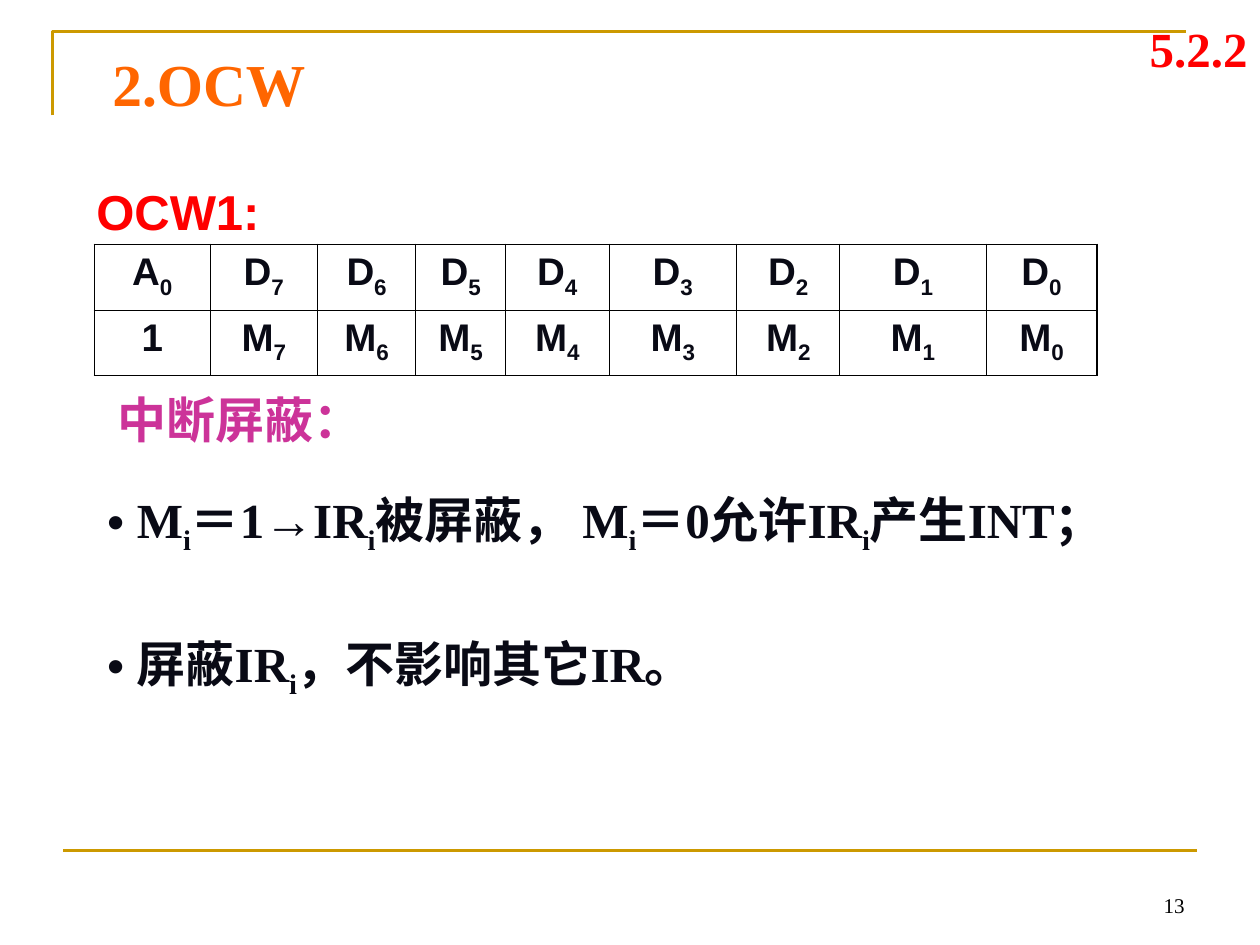
"""Build the slide on the OCW1 interrupt mask word."""
from dataclasses import dataclass

from lxml import etree
from pptx import Presentation
from pptx import util as u
from pptx.dml.color import RGBColor
from pptx.enum import shapes, text
from pptx.oxml import ns

Pt = u.Pt


@dataclass(frozen=True)
class Theme:
    gold: str = "CC9900"
    orange: str = "FF6600"
    red: str = "FF0000"
    magenta: str = "CC3399"
    ink: str = "090A15"
    black: str = "000000"
    serif: str = "Times New Roman"
    sans: str = "Arial"
    accent: str = "Karla"
    title_size: float = 34
    body_size: float = 28
    cell_size: float = 22
    number_size: float = 12
    rule: float = 1.5
    outer_border: float = 1.08
    inner_border: float = 0.45


@dataclass(frozen=True)
class Box:
    left: float
    top: float
    width: float
    height: float


@dataclass(frozen=True)
class Style:
    font: str
    size: float
    color: str
    bold: bool = True


@dataclass(frozen=True)
class Label:
    wording: str
    box: Box
    style: Style
    align: text.PP_ALIGN = text.PP_ALIGN.LEFT
    anchor: text.MSO_ANCHOR = text.MSO_ANCHOR.TOP


THEME = Theme()
TITLE = Label("2.OCW", Box(57, 23, 612, 57), Style(THEME.serif, THEME.title_size, THEME.orange))
LABELS = (
    Label("中断屏蔽：", Box(60, 219, 181, 41), Style(THEME.accent, THEME.body_size, THEME.magenta)),
    Label("5.2.2", Box(642, 7.2, 78, 41), Style(THEME.serif, THEME.body_size, THEME.red),
          text.PP_ALIGN.RIGHT),
    Label("OCW1:", Box(48, 100, 148, 41), Style(THEME.sans, THEME.body_size, THEME.red)),
    Label("13", Box(516, 492, 168, 36), Style(THEME.serif, THEME.number_size, THEME.black, False),
          text.PP_ALIGN.RIGHT, text.MSO_ANCHOR.BOTTOM),
)
BODY_BOX = Box(54, 276, 606, 216)
BODY_STYLE = Style(THEME.serif, THEME.body_size, THEME.ink)
BULLETS = ("M_i＝1→IR_i被屏蔽， M_i＝0允许IR_i产生INT；", "屏蔽IR_i，不影响其它IR。")
BULLET_INDENT = 17
BULLET_GAP = 44
BITS = range(7, -1, -1)
REGISTER_ROWS = (["A_0"] + [f"D_{bit}" for bit in BITS], ["1"] + [f"M_{bit}" for bit in BITS])
REGISTER_COLUMNS = (66, 61.5, 56, 51.5, 59, 73, 59, 83.5, 63.5)
REGISTER_BOX = Box(54, 139.7, sum(REGISTER_COLUMNS), 75)


def place(shape, box: Box) -> None:
    """Move and size a shape."""
    shape.left, shape.top = Pt(box.left), Pt(box.top)
    shape.width, shape.height = Pt(box.width), Pt(box.height)


def add_run(paragraph, wording: str, style: Style, subscript: bool = False) -> None:
    """Add one formatted run."""
    run = paragraph.add_run()
    run.text = wording
    run.font.name, run.font.size, run.font.bold = style.font, Pt(style.size), style.bold
    run.font.color.rgb = RGBColor.from_string(style.color)
    if subscript:
        run._r.get_or_add_rPr().set("baseline", "-25000")


def write(paragraph, wording: str, style: Style) -> None:
    """Write wording in which an underscore lowers the next character."""
    first, *rest = wording.split("_")
    add_run(paragraph, first, style)
    for part in rest:
        add_run(paragraph, part[0], style, subscript=True)
        if part[1:]:
            add_run(paragraph, part[1:], style)


def fill_label(shape, label: Label) -> None:
    """Place a text shape and write its label."""
    place(shape, label.box)
    frame = shape.text_frame
    frame.word_wrap = True
    frame.auto_size = text.MSO_AUTO_SIZE.NONE
    frame.vertical_anchor = label.anchor
    paragraph = frame.paragraphs[0]
    paragraph.alignment = label.align
    write(paragraph, label.wording, label.style)


def add_bullet(paragraph, color: str) -> None:
    """Give a paragraph a round bullet and a hanging indent."""
    properties = paragraph._p.get_or_add_pPr()
    properties.set("marL", str(Pt(BULLET_INDENT)))
    properties.set("indent", str(-Pt(BULLET_INDENT)))
    bullet_color = etree.SubElement(properties, ns.qn("a:buClr"))
    etree.SubElement(bullet_color, ns.qn("a:srgbClr"), val=color)
    etree.SubElement(properties, ns.qn("a:buChar"), char="•")


def fill_body(shape) -> None:
    """Write the bulleted list."""
    place(shape, BODY_BOX)
    frame = shape.text_frame
    frame.auto_size = text.MSO_AUTO_SIZE.NONE
    for index, wording in enumerate(BULLETS):
        paragraph = frame.add_paragraph() if index else frame.paragraphs[0]
        add_bullet(paragraph, BODY_STYLE.color)
        paragraph.space_before = Pt(BULLET_GAP if index else 0)
        write(paragraph, wording, BODY_STYLE)


def set_borders(cell, widths: dict[str, float]) -> None:
    """Draw the cell borders, keyed by side letter."""
    properties = cell._tc.get_or_add_tcPr()
    for side, width in widths.items():
        line = etree.SubElement(properties, ns.qn(f"a:ln{side}"), w=str(Pt(width)))
        fill = etree.SubElement(line, ns.qn("a:solidFill"))
        etree.SubElement(fill, ns.qn("a:srgbClr"), val=THEME.black)


def add_register(slide) -> None:
    """Add the register table."""
    box = REGISTER_BOX
    table = slide.shapes.add_table(
        len(REGISTER_ROWS), len(REGISTER_COLUMNS),
        Pt(box.left), Pt(box.top), Pt(box.width), Pt(box.height)).table
    table.first_row = table.horz_banding = False
    for column, width in zip(table.columns, REGISTER_COLUMNS):
        column.width = Pt(width)
    style = Style(THEME.sans, THEME.cell_size, THEME.ink)
    last = len(REGISTER_COLUMNS) - 1
    for row, wordings in enumerate(REGISTER_ROWS):
        table.rows[row].height = Pt(box.height / len(REGISTER_ROWS))
        for column, wording in enumerate(wordings):
            cell = table.cell(row, column)
            edges = {"L": column == 0, "R": column == last, "T": row == 0, "B": False}
            set_borders(cell, {side: THEME.outer_border if outer else THEME.inner_border
                               for side, outer in edges.items()})
            cell.fill.background()
            paragraph = cell.text_frame.paragraphs[0]
            paragraph.alignment = text.PP_ALIGN.CENTER
            write(paragraph, wording, style)


def style_rule(shape) -> None:
    """Give a line shape the gold rule."""
    shape.line.color.rgb = RGBColor.from_string(THEME.gold)
    shape.line.width = Pt(THEME.rule)


def add_frame(slide) -> None:
    """Add the corner rule and the bottom rule."""
    builder = slide.shapes.build_freeform(Pt(30), Pt(66), scale=1.0)
    builder.add_line_segments([(Pt(30), Pt(18)), (Pt(678), Pt(18))], close=False)
    corner = builder.convert_to_shape()
    corner.shadow.inherit = False
    corner.fill.background()
    style_rule(corner)
    bottom = slide.shapes.add_connector(
        shapes.MSO_CONNECTOR.STRAIGHT, Pt(36), Pt(486), Pt(684), Pt(486))
    style_rule(bottom)
    etree.SubElement(bottom._element.spPr, ns.qn("a:effectLst"))


def main() -> None:
    """Build and save the presentation."""
    presentation = Presentation()
    presentation.slide_width, presentation.slide_height = Pt(720), Pt(540)
    slide = presentation.slides.add_slide(presentation.slide_layouts[1])
    add_frame(slide)
    add_register(slide)
    fill_label(slide.shapes.title, TITLE)
    fill_body(slide.placeholders[1])
    for label in LABELS:
        box = label.box
        shape = slide.shapes.add_textbox(Pt(box.left), Pt(box.top), Pt(box.width), Pt(box.height))
        fill_label(shape, label)


    presentation.save("out.pptx")


if __name__ == "__main__":
    main()
